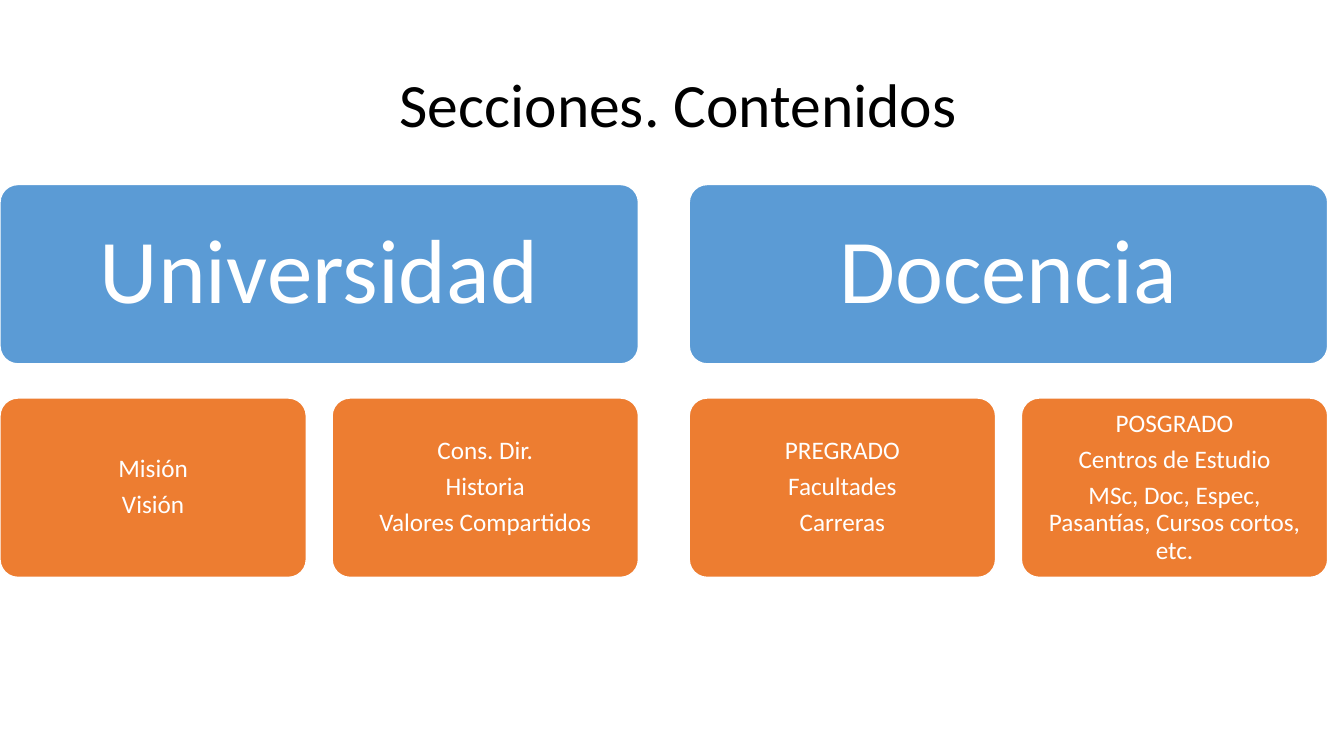
from dataclasses import dataclass

from pptx import Presentation
from pptx.dml.color import RGBColor
from pptx.enum.shapes import MSO_SHAPE
from pptx.enum.text import MSO_ANCHOR, PP_ALIGN
from pptx.util import Cm, Pt

ROUNDED = MSO_SHAPE.ROUNDED_RECTANGLE
MIDDLE = MSO_ANCHOR.MIDDLE
CENTER = PP_ALIGN.CENTER
TITLE_ONLY = 5


@dataclass(frozen=True)
class Theme:
    font: str = "Calibri"
    section: str = "5B9BD5"
    topic: str = "ED7D31"
    light: str = "FFFFFF"
    dark: str = "000000"
    title_size: int = 44
    section_size: int = 65
    topic_size: int = 18


THEME = Theme()

SECTIONS = [
    ("Universidad", [
        ["Misión", "Visión"],
        ["Cons. Dir.", "Historia", "Valores Compartidos"],
    ]),
    ("Docencia", [
        ["PREGRADO", "Facultades", "Carreras"],
        ["POSGRADO", "Centros de Estudio",
         "MSc, Doc, Espec, Pasantías, Cursos cortos, etc."],
    ]),
]

TOPIC_WIDTH = 7.72
TOPIC_GAP = 0.65
SECTION_WIDTH = 2 * TOPIC_WIDTH + TOPIC_GAP
SECTION_GAP = 1.28
CARD_HEIGHT = 4.52
SECTION_TOP = 4.65
TOPIC_TOP = 10.03


def write(frame, lines, *, size, color, spacing=1.0, after=0.0, inset=None):
    frame.word_wrap = True
    frame.vertical_anchor = MIDDLE
    if inset is not None:
        frame.margin_left = frame.margin_right = Cm(inset)
        frame.margin_top = frame.margin_bottom = Cm(inset)
    frame.text = "\n".join(lines)
    for paragraph in frame.paragraphs:
        paragraph.alignment = CENTER
        paragraph.line_spacing = spacing
        paragraph.space_before = Pt(0)
        paragraph.space_after = Pt(after * size)
        font = paragraph.runs[0].font
        font.name = THEME.font
        font.size = Pt(size)
        font.color.rgb = RGBColor.from_string(color)


def add_card(slide, lines, left, top, width, *, fill, size, inset):
    card = slide.shapes.add_shape(
        ROUNDED, Cm(left), Cm(top), Cm(width), Cm(CARD_HEIGHT))
    card.adjustments[0] = 0.1
    card.shadow.inherit = False
    card.fill.solid()
    card.fill.fore_color.rgb = RGBColor.from_string(fill)
    card.line.color.rgb = RGBColor.from_string(THEME.light)
    card.line.width = Pt(1)
    write(card.text_frame, lines, size=size, color=THEME.light,
          spacing=0.9, after=0.35, inset=inset)


def add_title(slide, text):
    title = slide.shapes.title
    title.left, title.top = Cm(3.15), Cm(1.52)
    title.width, title.height = Cm(27.9), Cm(2.14)
    write(title.text_frame, [text], size=THEME.title_size, color=THEME.dark)


def add_section(slide, name, topics, left):
    add_card(slide, [name], left, SECTION_TOP, SECTION_WIDTH,
             fill=THEME.section, size=THEME.section_size, inset=0.8)
    for column, lines in enumerate(topics):
        add_card(slide, lines, left + column * (TOPIC_WIDTH + TOPIC_GAP),
                 TOPIC_TOP, TOPIC_WIDTH,
                 fill=THEME.topic, size=THEME.topic_size, inset=0.32)


def main():
    deck = Presentation()
    deck.slide_width, deck.slide_height = Cm(33.87), Cm(19.05)
    slide = deck.slides.add_slide(deck.slide_layouts[TITLE_ONLY])
    add_title(slide, "Secciones. Contenidos")
    for index, (name, topics) in enumerate(SECTIONS):
        add_section(slide, name, topics, index * (SECTION_WIDTH + SECTION_GAP))
    deck.save("out.pptx")


main()
